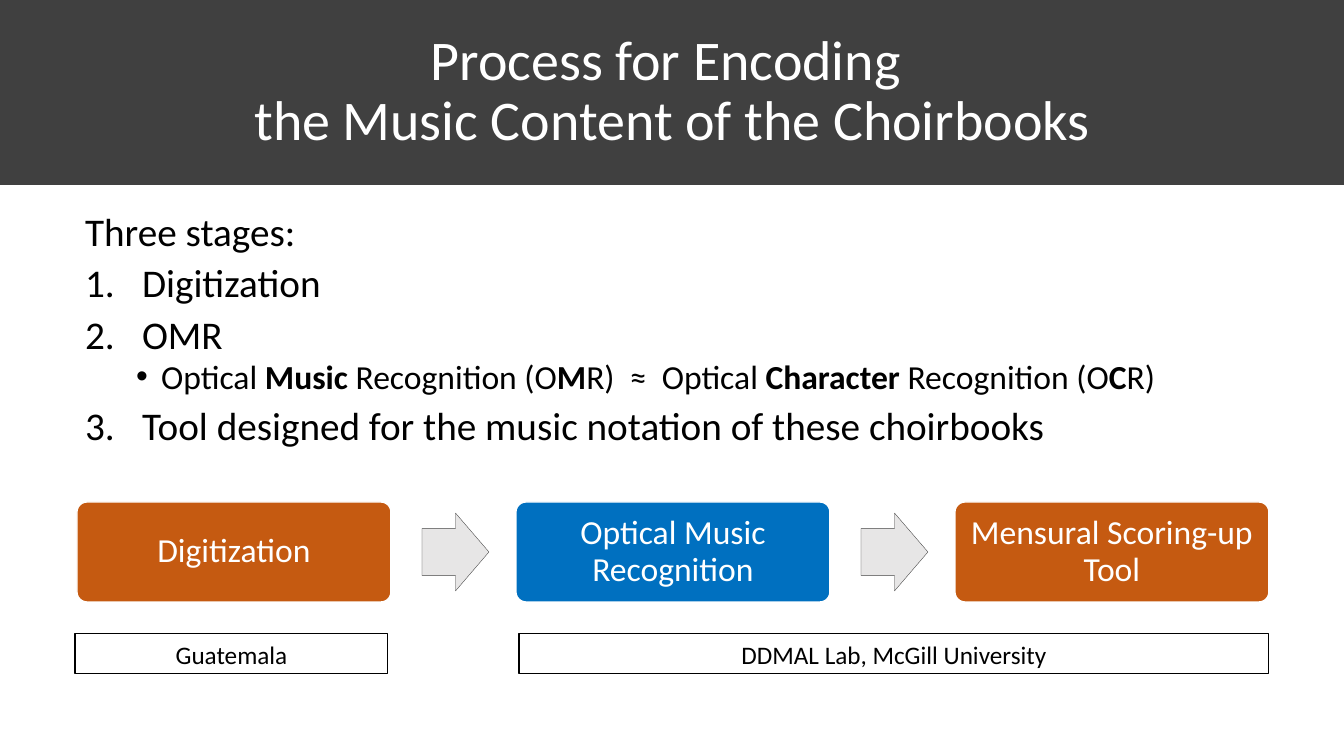
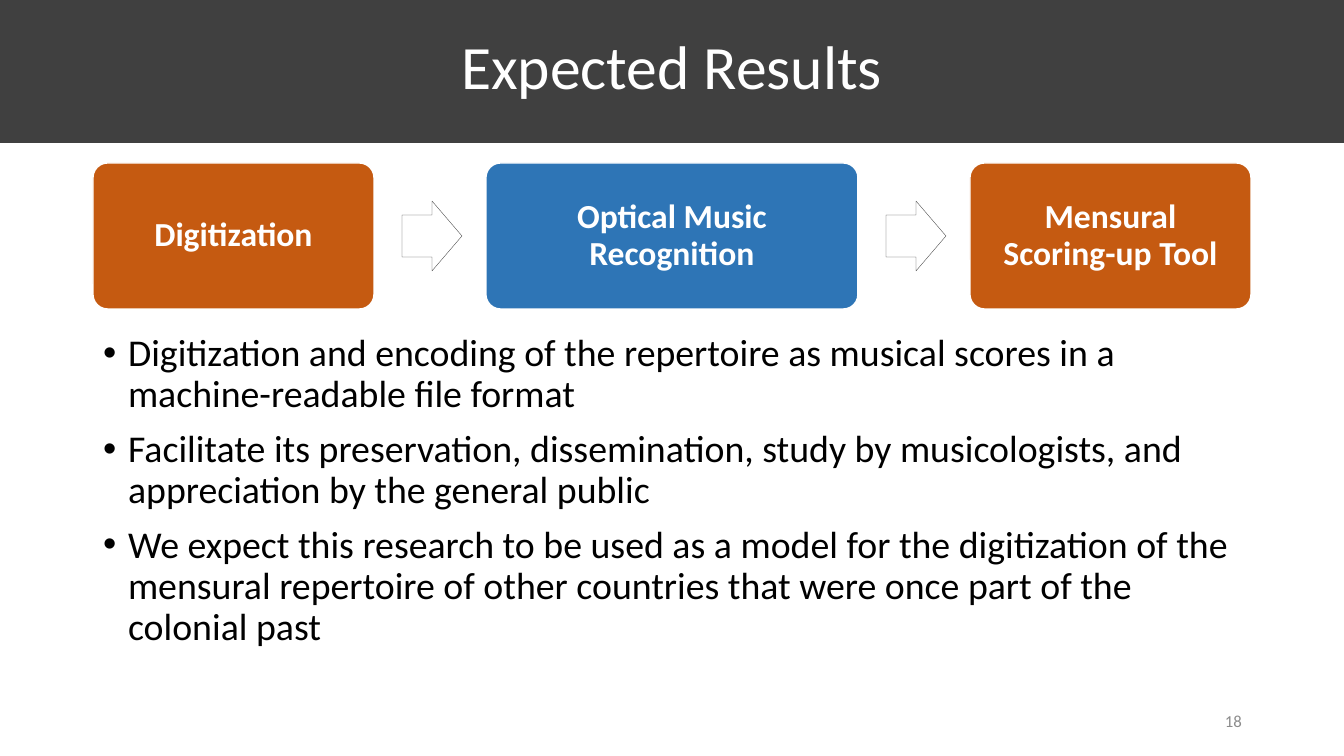
import lxml.etree
import pptx
import pptx.util
import pptx.dml.color
import pptx.enum.shapes
import pptx.enum.text
import pptx.oxml.ns

RGB = pptx.dml.color.RGBColor
SHAPE = pptx.enum.shapes.MSO_SHAPE
ALIGN = pptx.enum.text.PP_ALIGN
ANCHOR = pptx.enum.text.MSO_ANCHOR

# Shared look
PX = 914400 / 100.8
WIDE, HIGH = 1344, 756
FONT = "Calibri"
BLACK = RGB(0x00, 0x00, 0x00)
WHITE = RGB(0xFF, 0xFF, 0xFF)
DARK = RGB(0x40, 0x40, 0x40)
GREY = RGB(0x8C, 0x8C, 0x8C)
PALE = RGB(0xE7, 0xE6, 0xE6)
RUST = RGB(0xC5, 0x5A, 0x11)
AZURE = RGB(0x00, 0x70, 0xC0)
STEEL = RGB(0x2E, 0x75, 0xB6)


def px(num):
    return pptx.util.Emu(round(num * PX))


def place(shape, x, y, w, h):
    shape.left, shape.top, shape.width, shape.height = map(px, (x, y, w, h))


def setup(frame, anchor):
    frame.word_wrap = True
    frame.auto_size = pptx.enum.text.MSO_AUTO_SIZE.NONE
    frame.vertical_anchor = anchor


def write(par, text, size, color, bold=False):
    """Add runs; ** switches bold and a newline breaks the line."""
    for n, part in enumerate(text.split("**")):
        for i, line in enumerate(part.split("\n")):
            if i:
                par.add_line_break()
            run = par.add_run()
            run.text = line
            font = run.font
            font.name, font.size = FONT, pptx.util.Pt(size)
            font.bold = bold or n % 2 == 1
            font.color.rgb = color


def label(frame, text, size, color, align=ALIGN.CENTER, bold=False, lead=1.0):
    setup(frame, ANCHOR.MIDDLE)
    par = frame.paragraphs[0]
    par.alignment = align
    par.line_spacing = lead
    write(par, text, size, color, bold)


def mark(par, kind, left, hang):
    """Set the bullet, number or plain start of a paragraph."""
    props = par._p.get_or_add_pPr()
    props.set("marL", str(px(left)))
    props.set("indent", str(-px(hang)))
    tag, attrs = {
        "plain": ("a:buNone", {}),
        "number": ("a:buAutoNum", {"type": "arabicPeriod"}),
        "bullet": ("a:buChar", {"char": "•"}),
    }[kind]
    lxml.etree.SubElement(props, pptx.oxml.ns.qn(tag), attrs)


def title(slide, text, size, y, h):
    band = slide.shapes.title
    place(band, 0, y, WIDE, h)
    band.fill.solid()
    band.fill.fore_color.rgb = DARK
    label(band.text_frame, text, size, WHITE, lead=0.9)


def body(slide, box, items, lead):
    """Fill the body from (kind, level, left, hang, size, text) items."""
    holder = slide.placeholders[1]
    place(holder, *box)
    frame = holder.text_frame
    setup(frame, ANCHOR.TOP)
    for n, (kind, level, left, hang, size, text) in enumerate(items):
        par = frame.add_paragraph() if n else frame.paragraphs[0]
        par.level = level
        mark(par, kind, left, hang)
        par.line_spacing = lead
        par.space_before = pptx.util.Pt((5 if level else 10) if n else 0)
        write(par, text, size, BLACK)


def block(slide, preset, box, fill, line, width):
    shape = slide.shapes.add_shape(preset, *map(px, box))
    shape.shadow.inherit = False
    if fill is None:
        shape.fill.background()
    else:
        shape.fill.solid()
        shape.fill.fore_color.rgb = fill
    shape.line.color.rgb = line
    shape.line.width = pptx.util.Pt(width)
    return shape


def flow(slide, x, y, h, gap, steps, fill, bold=False):
    """Draw (width, colour, text) steps with an arrow in each gap."""
    for n, (w, color, text) in enumerate(steps):
        if n:
            wide = round(gap * 0.535)
            tall = round(wide * 1.17)
            spot = (x - gap + gap // 4, y + (h - tall) / 2, wide, tall)
            arrow = block(slide, SHAPE.RIGHT_ARROW, spot, fill, DARK, 0.25)
            arrow.adjustments[0] = 0.6
        step = block(slide, SHAPE.ROUNDED_RECTANGLE, (x, y, w, h),
                     color, WHITE, 1)
        step.adjustments[0] = 0.1
        frame = step.text_frame
        frame.margin_left = frame.margin_right = px(13)
        label(frame, text, 24, WHITE, bold=bold, lead=0.9)
        x += w + gap


def process(deck):
    slide = deck.slides.add_slide(deck.slide_layouts[1])
    title(slide, "Process for Encoding \nthe Music Content of the Choirbooks",
          40, 0, 185)
    stage = ("number", 0, 57, 57, 28)
    body(slide, (75, 211, 1196, 261), [
        ("plain", 0, 0, 0, 28, "Three stages:"),
        (*stage, "Digitization"),
        (*stage, "OMR"),
        ("bullet", 1, 76, 25, 24,
         "Optical **Music** Recognition (O**M**R)  ≈  "
         "Optical **Character** Recognition (O**C**R)"),
        (*stage, "Tool designed for the music notation of these choirbooks"),
    ], 0.8)
    flow(slide, 77, 502, 100, 125, [
        (314, RUST, "Digitization"),
        (314, AZURE, "Optical Music Recognition"),
        (314, RUST, "Mensural Scoring-up Tool"),
    ], PALE)
    # Places where the stages happen
    for x, w, text in ((75, 313, "Guatemala"),
                       (519, 750, "DDMAL Lab, McGill University")):
        site = block(slide, SHAPE.RECTANGLE, (x, 634, w, 40),
                     None, BLACK, 0.75)
        label(site.text_frame, text, 18, BLACK)


def results(deck):
    slide = deck.slides.add_slide(deck.slide_layouts[1])
    title(slide, "Expected Results", 44, -3, 146)
    flow(slide, 93, 163, 146, 112, [
        (281, RUST, "Digitization"),
        (372, STEEL, "Optical Music Recognition"),
        (281, RUST, "Mensural Scoring-up Tool"),
    ], WHITE, bold=True)
    goals = (
        "Digitization and encoding of the repertoire as musical scores "
        "in a machine-readable file format",
        "Facilitate its preservation, dissemination, study by "
        "musicologists, and appreciation by the general public",
        "We expect this research to be used as a model for the "
        "digitization of the mensural repertoire of other countries "
        "that were once part of the colonial past",
    )
    body(slide, (93, 329, 1159, 352),
         [("bullet", 0, 25, 25, 27, goal) for goal in goals], 0.9)
    # Page number
    page = slide.shapes.add_textbox(*map(px, (950, 701, 302, 40)))
    label(page.text_frame, "18", 12, GREY, ALIGN.RIGHT)


def main():
    deck = pptx.Presentation()
    deck.slide_width, deck.slide_height = px(WIDE), px(HIGH)
    process(deck)
    results(deck)
    deck.save("out.pptx")


if __name__ == "__main__":
    main()
